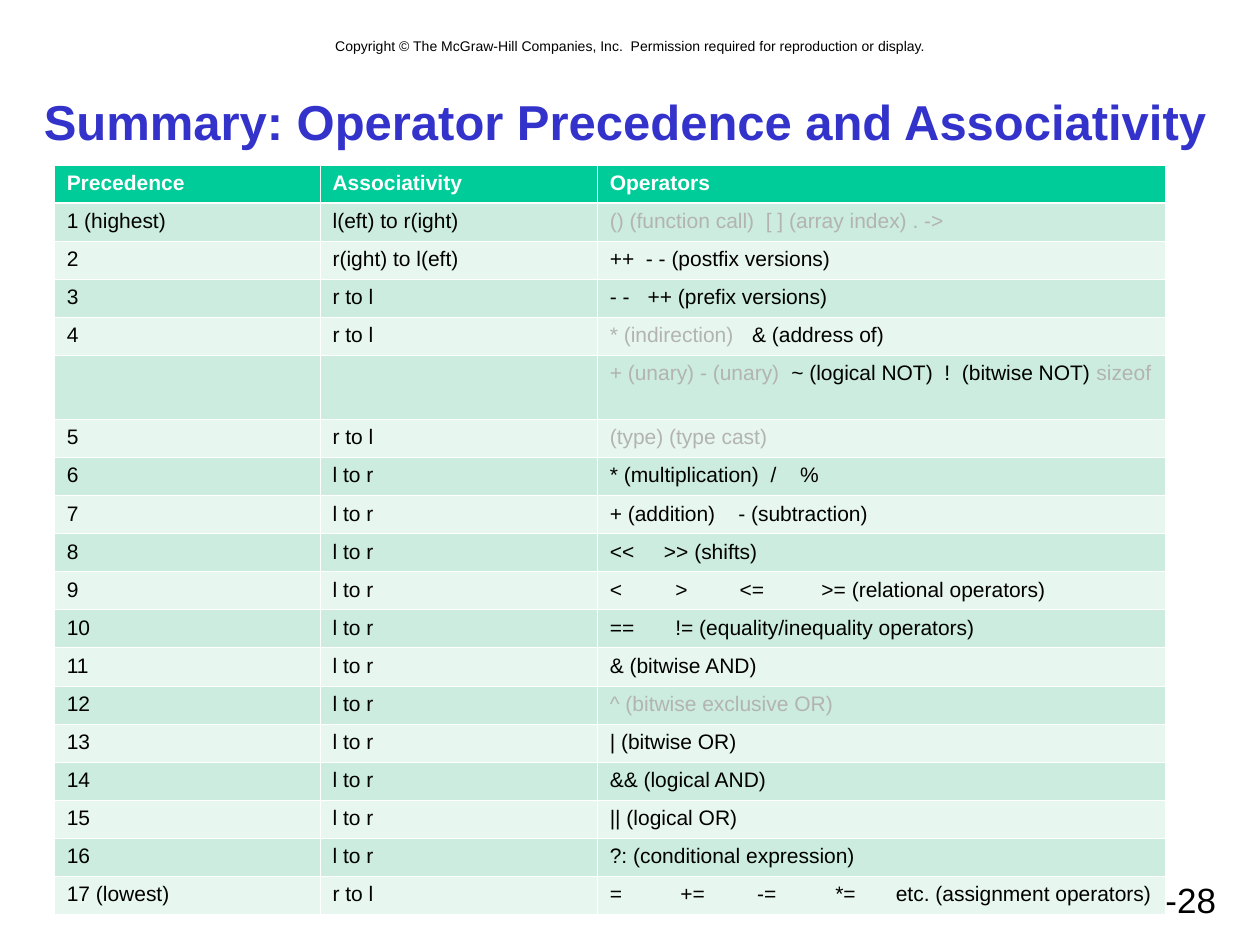
"""Build a slide that sums up operator precedence and associativity."""
from lxml.etree import SubElement
from pptx import Presentation
from pptx.dml.color import RGBColor
from pptx.enum.text import MSO_ANCHOR as Anchor, PP_ALIGN as Align
from pptx.oxml.ns import qn
from pptx.util import Inches, Pt

FONT = "Arial"
BLACK, WHITE, GRAY = "000000", "FFFFFF", "B3B3B3"
TITLE_BLUE, HEADER_GREEN = "3333CC", "00CC99"
BANDS = ["CBECDE", "E7F6EF"]

COPYRIGHT = "Copyright © The McGraw-Hill Companies, Inc.  Permission required for reproduction or display."
TITLE = "Summary: Operator Precedence and Associativity"
PAGE_NUMBER = "12-28"

HEADERS = ["Precedence", "Associativity", "Operators"]
ROWS = [
    ("1 (highest)", "l(eft) to r(ight)", [("() (function call)  [ ] (array index) . ->", GRAY)]),
    ("2", "r(ight) to l(eft)", [("++  - - (postfix versions)", BLACK)]),
    ("3", "r to l", [("- -\t++ (prefix versions)", BLACK)]),
    ("4", "r to l", [("* (indirection)\t", GRAY), ("& (address of)", BLACK)]),
    ("", "", [("+ (unary) - (unary)  ", GRAY), ("~ (logical NOT)  !  (bitwise NOT) ", BLACK), ("sizeof", GRAY)]),
    ("5", "r to l", [("(type) (type cast)", GRAY)]),
    ("6", "l to r", [("* (multiplication)  /\t%", BLACK)]),
    ("7", "l to r", [("+ (addition)\t- (subtraction)", BLACK)]),
    ("8", "l to r", [("<<\t>> (shifts)", BLACK)]),
    ("9", "l to r", [("<\t>\t<=\t>= (relational operators)", BLACK)]),
    ("10", "l to r", [("==\t!= (equality/inequality operators)", BLACK)]),
    ("11", "l to r", [("& (bitwise AND)", BLACK)]),
    ("12", "l to r", [("^ (bitwise exclusive OR)", GRAY)]),
    ("13", "l to r", [("| (bitwise OR)", BLACK)]),
    ("14", "l to r", [("&& (logical AND)", BLACK)]),
    ("15", "l to r", [("|| (logical OR)", BLACK)]),
    ("16", "l to r", [("?: (conditional expression)", BLACK)]),
    ("17 (lowest)", "r to l", [("=\t+=\t-=\t*=\tetc. (assignment operators)", BLACK)]),
]
TAB_STOPS = {
    "3": [0.3], "4": [1.13], "6": [1.51], "7": [1.02], "8": [0.43],
    "9": [0.52, 1.03, 1.68], "10": [0.52], "17 (lowest)": [0.56, 1.17, 1.79, 2.27],
}

TABLE_LEFT, TABLE_TOP, TABLE_HEIGHT = 0.43, 1.31, 5.95
COLUMN_WIDTHS = [2.11, 2.2, 4.51]
UNARY_ROW_HEIGHT = 0.51
ROW_HEIGHT = (TABLE_HEIGHT - UNARY_ROW_HEIGHT) / len(ROWS)
THIN, THICK = 0.45, 1.47


def rgb(value):
    return RGBColor.from_string(value)


def style(para, size, color, bold=False):
    font = para.font
    font.name, font.size, font.bold = FONT, Pt(size), bold
    font.color.rgb = rgb(color)


def add_text(page, place, text, size, color, align=Align.LEFT, anchor=Anchor.TOP, bold=False):
    box = page.shapes.add_textbox(*map(Inches, place))
    box.text_frame.word_wrap = True
    box.text_frame.vertical_anchor = anchor
    para = box.text_frame.paragraphs[0]
    para.text, para.alignment = text, align
    style(para, size, color, bold)


def set_borders(cell, top, bottom):
    properties = cell._tc.get_or_add_tcPr()
    for side, width in (("lnL", THIN), ("lnR", THIN), ("lnT", top), ("lnB", bottom)):
        line = SubElement(properties, qn(f"a:{side}"), w=str(int(Pt(width))))
        SubElement(SubElement(line, qn("a:solidFill")), qn("a:srgbClr"), val=WHITE)


def set_tabs(para, stops):
    tab_list = SubElement(para._p.get_or_add_pPr(), qn("a:tabLst"))
    for stop in stops:
        SubElement(tab_list, qn("a:tab"), pos=str(int(Inches(stop))), algn="l")


def fill_cell(cell, spans, fill, bold=False, top=THIN, bottom=THIN, stops=()):
    set_borders(cell, top, bottom)
    cell.fill.solid()
    cell.fill.fore_color.rgb = rgb(fill)
    para = cell.text_frame.paragraphs[0]
    if stops:
        set_tabs(para, stops)
    style(para, 12, spans[0][1], bold)
    for text, color in spans:
        if text:
            span = para.add_run()
            span.text = text
            if len(spans) > 1:
                span.font.color.rgb = rgb(color)


def add_operator_table(page):
    heights = [ROW_HEIGHT] + [ROW_HEIGHT if row[0] else UNARY_ROW_HEIGHT for row in ROWS]
    frame = page.shapes.add_table(
        len(heights), len(COLUMN_WIDTHS), Inches(TABLE_LEFT), Inches(TABLE_TOP),
        Inches(sum(COLUMN_WIDTHS)), Inches(TABLE_HEIGHT))
    table = frame.table
    table.horz_banding = False
    for column, width in zip(table.columns, COLUMN_WIDTHS):
        column.width = Inches(width)
    for row, height in zip(table.rows, heights):
        row.height = Inches(height)
    for index, header in enumerate(HEADERS):
        fill_cell(table.cell(0, index), [(header, WHITE)], HEADER_GREEN, bold=True, bottom=THICK)
    for number, (precedence, associativity, operators) in enumerate(ROWS, 1):
        band = BANDS[(number - 1) % 2]
        top = THICK if number == 1 else THIN
        fill_cell(table.cell(number, 0), [(precedence, BLACK)], band, top=top)
        fill_cell(table.cell(number, 1), [(associativity, BLACK)], band, top=top)
        fill_cell(table.cell(number, 2), operators, band, top=top, stops=TAB_STOPS.get(precedence, ()))


def main():
    deck = Presentation()
    deck.slide_width, deck.slide_height = Inches(10), Inches(7.5)
    page = deck.slides.add_slide(deck.slide_layouts[6])
    add_text(page, (0.67, 0.25, 8.67, 0.24), COPYRIGHT, 8, BLACK, Align.CENTER)
    add_text(page, (7.17, 6.92, 2.58, 0.42), PAGE_NUMBER, 20, BLACK, Align.RIGHT)
    add_text(page, (0.25, 0.67, 9.5, 0.58), TITLE, 28, TITLE_BLUE, anchor=Anchor.MIDDLE, bold=True)
    add_operator_table(page)
    deck.save("out.pptx")


if __name__ == "__main__":
    main()
